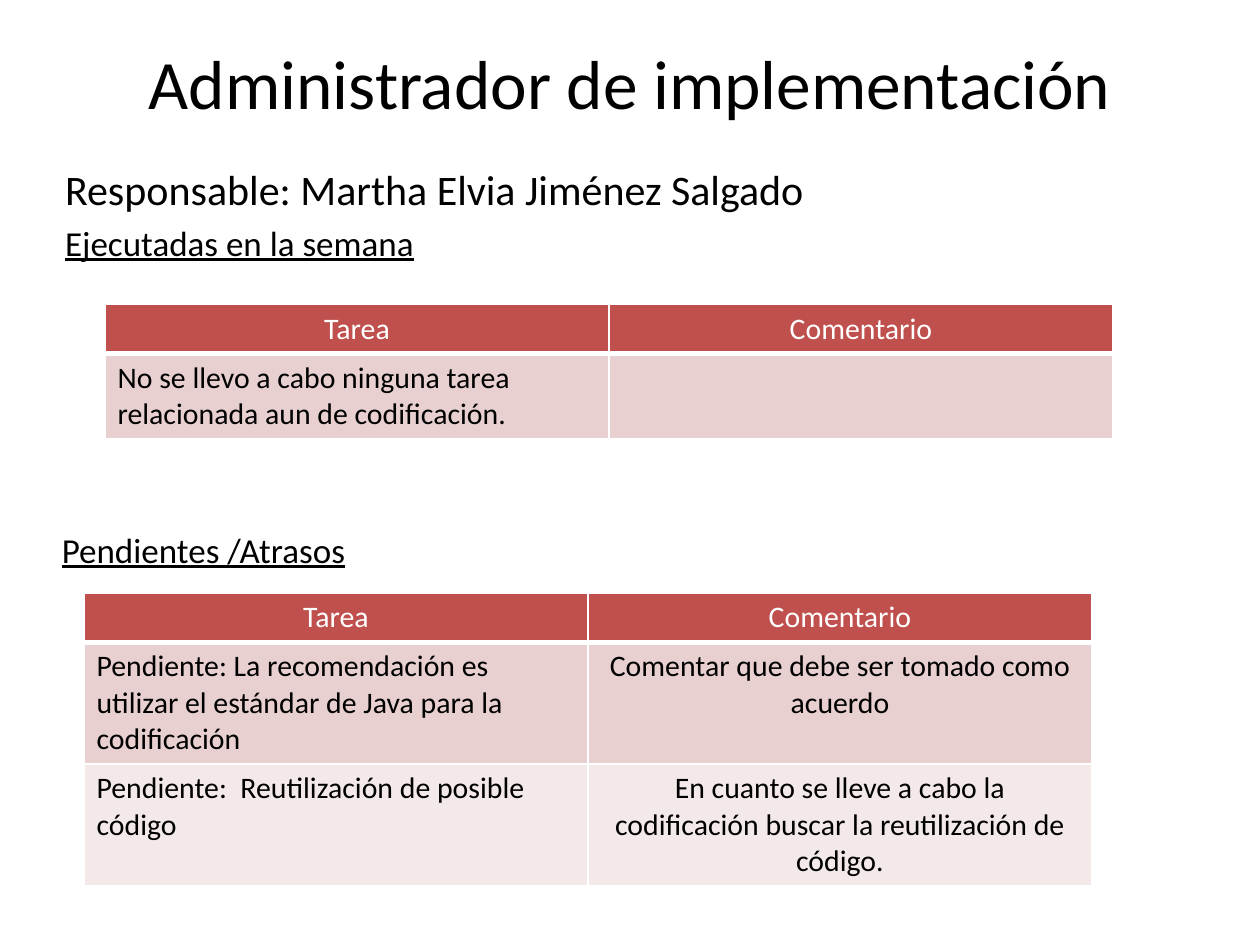
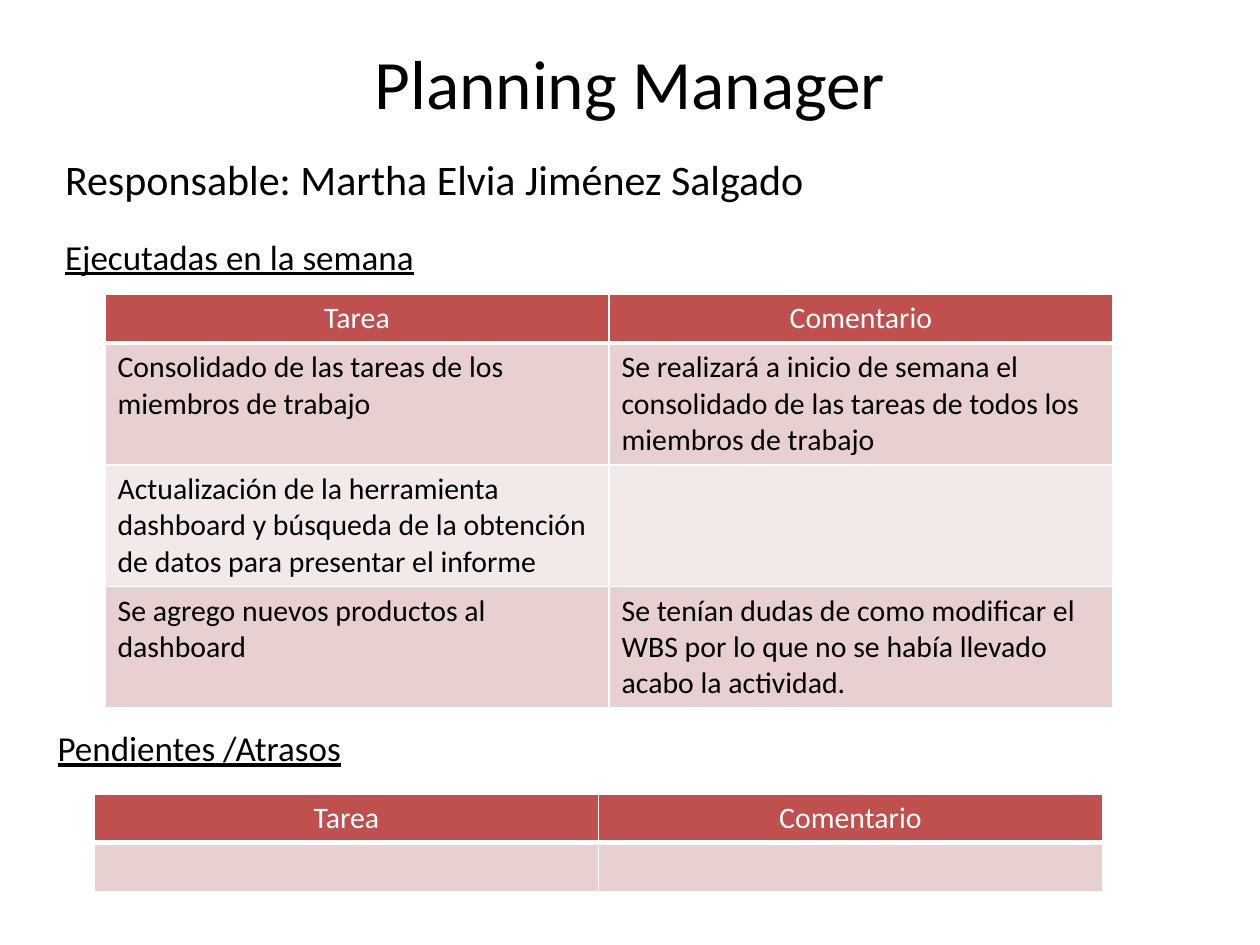
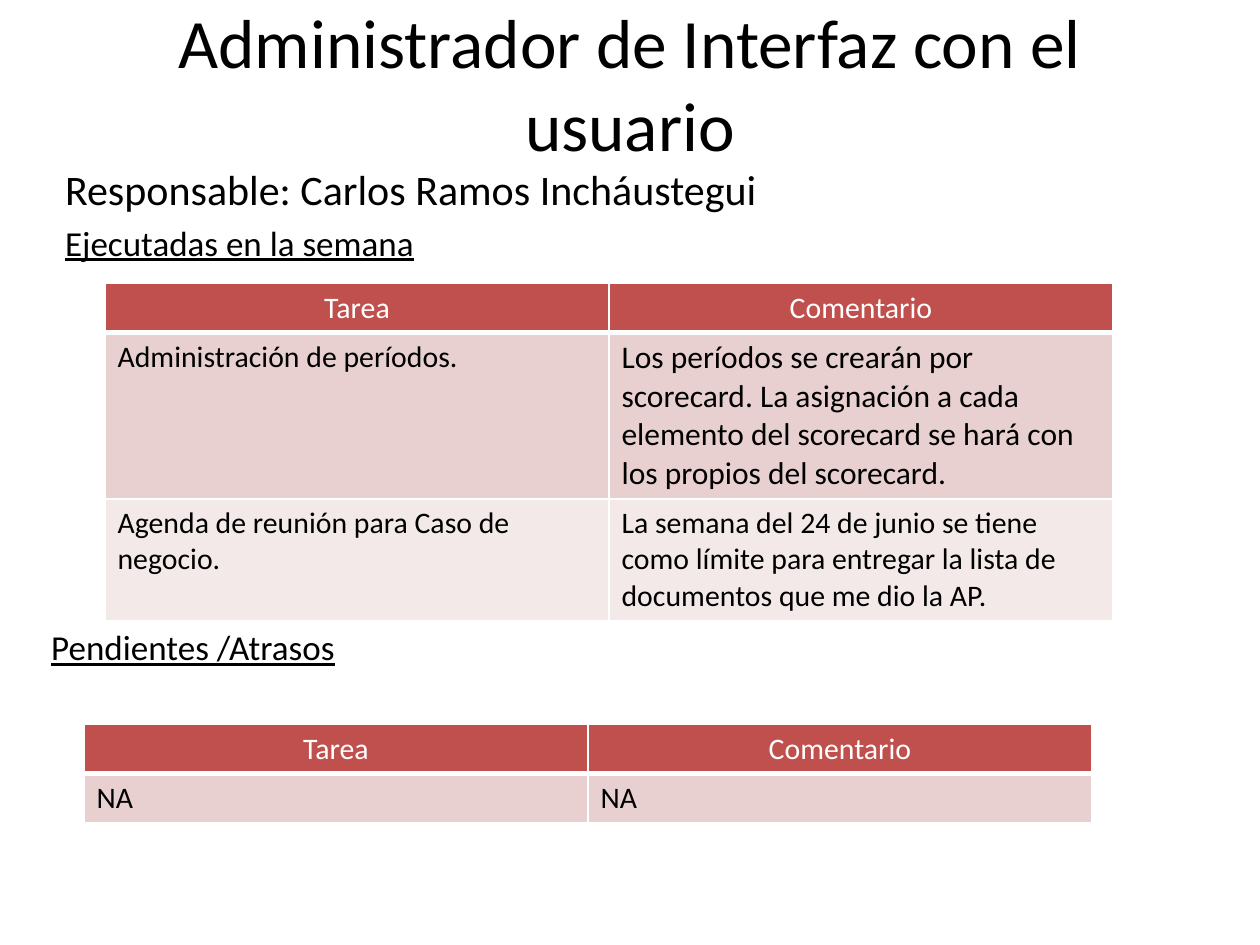
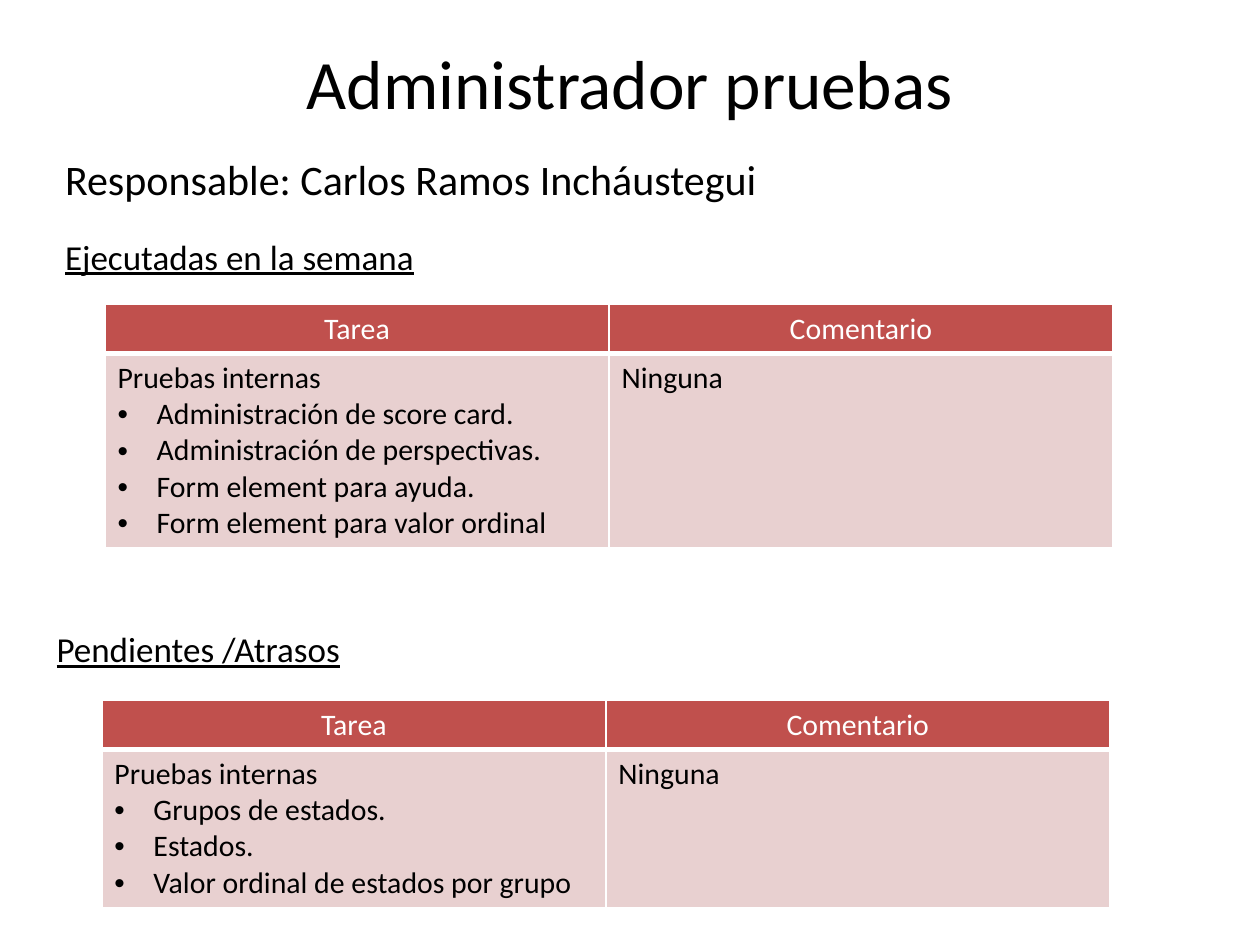
from lxml import etree
from pptx import Presentation
from pptx.dml.color import RGBColor
from pptx.enum.text import MSO_ANCHOR, MSO_AUTO_SIZE, PP_ALIGN
from pptx.oxml.ns import qn
from pptx.util import Inches, Pt

CENTER, LEFT = PP_ALIGN.CENTER, PP_ALIGN.LEFT
MIDDLE = MSO_ANCHOR.MIDDLE
NO_AUTOFIT = MSO_AUTO_SIZE.NONE

BLACK = RGBColor(0x00, 0x00, 0x00)
WHITE = RGBColor(0xFF, 0xFF, 0xFF)
HEADER_RED = RGBColor(0xC0, 0x50, 0x4D)
BANDS = [RGBColor(0xE8, 0xD0, 0xD0), RGBColor(0xF4, 0xE9, 0xE9)]
FONT = "Calibri"
CELL_SIZE = 17

# The slide is a grid of 120 columns by 90 rows of square units.
UNIT = Inches(10) / 120
TABLE_WIDTH = 96
ROW_HEIGHT = Inches(0.37)
HEADER = ("Tarea", "Comentario")
TEXT_INDENT, BULLET_INDENT = Inches(0.38), Inches(0.31)

# Positions are (column, row). Lines after the first one in a cell are bullets.
REPORTS = [
    {
        "title": "Administrador de implementación",
        "responsible": "Martha Elvia Jiménez Salgado",
        "spacious": False,
        "pending_at": (4.7, 49.7),
        "tables": [
            ((10, 29), LEFT, [
                ("No se llevo a cabo ninguna tarea relacionada aun de codificación.", ""),
            ]),
            ((8, 56.5), CENTER, [
                ("Pendiente: La recomendación es utilizar el estándar de Java para la codificación",
                 "Comentar que debe ser tomado como acuerdo"),
                ("Pendiente:  Reutilización de posible código",
                 "En cuanto se lleve a cabo la codificación buscar la reutilización de código."),
            ]),
        ],
    },
    {
        "title": "Planning Manager",
        "responsible": "Martha Elvia Jiménez Salgado",
        "spacious": True,
        "pending_at": (4.3, 68.6),
        "tables": [
            ((10, 28), LEFT, [
                ("Consolidado de las tareas de los miembros de trabajo",
                 "Se realizará a inicio de semana el consolidado de las tareas de todos los "
                 "miembros de trabajo"),
                ("Actualización de la herramienta dashboard y búsqueda de la obtención de datos "
                 "para presentar el informe", ""),
                ("Se agrego nuevos productos al dashboard",
                 "Se tenían dudas de como modificar el WBS por lo que no se había llevado acabo "
                 "la actividad."),
            ]),
            ((9, 75.6), LEFT, [("", "")]),
        ],
    },
    {
        "title": "Administrador de Interfaz con el usuario",
        "responsible": "Carlos Ramos Incháustegui",
        "spacious": False,
        "pending_at": (3.7, 59),
        "tables": [
            ((10, 27), LEFT, [
                ("Administración de períodos.",
                 "Los períodos se crearán por scorecard. La asignación a cada elemento del "
                 "scorecard se hará con los propios del scorecard."),
                ("Agenda de reunión para Caso de negocio.",
                 "La semana del 24 de junio se tiene como límite para entregar la lista de "
                 "documentos que me dio la AP."),
            ]),
            ((8, 69), LEFT, [("NA", "NA")]),
        ],
    },
    {
        "title": "Administrador pruebas",
        "responsible": "Carlos Ramos Incháustegui",
        "spacious": True,
        "pending_at": (4.2, 59.2),
        "tables": [
            ((10, 29), LEFT, [
                ("Pruebas internas\nAdministración de score card.\n"
                 "Administración de perspectivas.\nForm element para ayuda.\n"
                 "Form element para valor ordinal", "Ninguna"),
            ]),
            ((9.7, 66.7), LEFT, [
                ("Pruebas internas\nGrupos de estados.\nEstados.\n"
                 "Valor ordinal de estados por grupo", "Ninguna"),
            ]),
        ],
    },
]


def format_runs(paragraph, size, color=BLACK, underline=False):
    for run in paragraph.runs:
        run.font.name = FONT
        run.font.size = Pt(size)
        run.font.bold = False
        run.font.underline = underline
        run.font.color.rgb = color


def hang(paragraph, indent, bullet=None):
    """Give the paragraph a hanging indent, with a bullet or with none."""
    properties = paragraph._p.get_or_add_pPr()
    properties.set("marL", str(indent))
    properties.set("indent", str(-indent))
    if bullet:
        etree.SubElement(properties, qn("a:buFont"), typeface="Arial")
        etree.SubElement(properties, qn("a:buChar"), char=bullet)
    else:
        etree.SubElement(properties, qn("a:buNone"))


presentation = Presentation()
presentation.slide_width = Inches(10)
presentation.slide_height = Inches(7.5)

for report in REPORTS:
    slide = presentation.slides.add_slide(presentation.slide_layouts[1])
    title, body = slide.placeholders
    column, row = report["pending_at"]
    pending = slide.shapes.add_textbox(0, 0, 0, 0)

    body_row, body_height = (14, 15) if report["spacious"] else (15, 11)
    for shape, box in [
        (title, (6, 3.6, 108, 8.4)),
        (body, (5, body_row, 112, body_height)),
        (pending, (column, row, 112, 7)),
    ]:
        shape.left, shape.top, shape.width, shape.height = [round(n * UNIT) for n in box]
        shape.text_frame.word_wrap = True
        shape.text_frame.auto_size = NO_AUTOFIT

    title.text_frame.text = report["title"]
    title.text_frame.vertical_anchor = MIDDLE
    title.text_frame.paragraphs[0].alignment = CENTER
    format_runs(title.text_frame.paragraphs[0], 39.6)

    body.text_frame.text = f"Responsable: {report['responsible']}\nEjecutadas en la semana"
    responsible, executed = body.text_frame.paragraphs
    executed.space_before = Pt(18 if report["spacious"] else 4)
    pending.text_frame.text = "Pendientes /Atrasos"
    late = pending.text_frame.paragraphs[0]
    for paragraph, size in [(responsible, 24), (executed, 20), (late, 20)]:
        format_runs(paragraph, size, underline=size == 20)
        hang(paragraph, TEXT_INDENT)

    for (column, row), comment_alignment, tasks in report["tables"]:
        rows = [HEADER] + tasks
        table = slide.shapes.add_table(
            len(rows), 2, round(column * UNIT), round(row * UNIT),
            round(TABLE_WIDTH * UNIT), ROW_HEIGHT * len(rows)).table
        for row_index, texts in enumerate(rows):
            is_header = row_index == 0
            for column_index, text in enumerate(texts):
                cell = table.cell(row_index, column_index)
                cell.fill.solid()
                cell.fill.fore_color.rgb = HEADER_RED if is_header else BANDS[(row_index - 1) % 2]
                cell.text_frame.text = text
                for line, paragraph in enumerate(cell.text_frame.paragraphs):
                    centered = is_header or (column_index == 1 and comment_alignment == CENTER)
                    paragraph.alignment = CENTER if centered else LEFT
                    size = 18 if text.startswith("Los períodos") else CELL_SIZE
                    format_runs(paragraph, size, WHITE if is_header else BLACK)
                    if line > 0:
                        hang(paragraph, BULLET_INDENT, "•")
                    if not text:
                        etree.SubElement(paragraph._p, qn("a:endParaRPr"), sz=str(CELL_SIZE * 100))

                cell_properties = cell._tc.get_or_add_tcPr()
                for position, side in enumerate("LRTB"):
                    points = 3 if is_header and side == "B" else 1
                    border = etree.Element(qn(f"a:ln{side}"), w=str(Pt(points)))
                    border_fill = etree.SubElement(border, qn("a:solidFill"))
                    etree.SubElement(border_fill, qn("a:srgbClr"), val=str(WHITE))
                    cell_properties.insert(position, border)

presentation.save("out.pptx")
